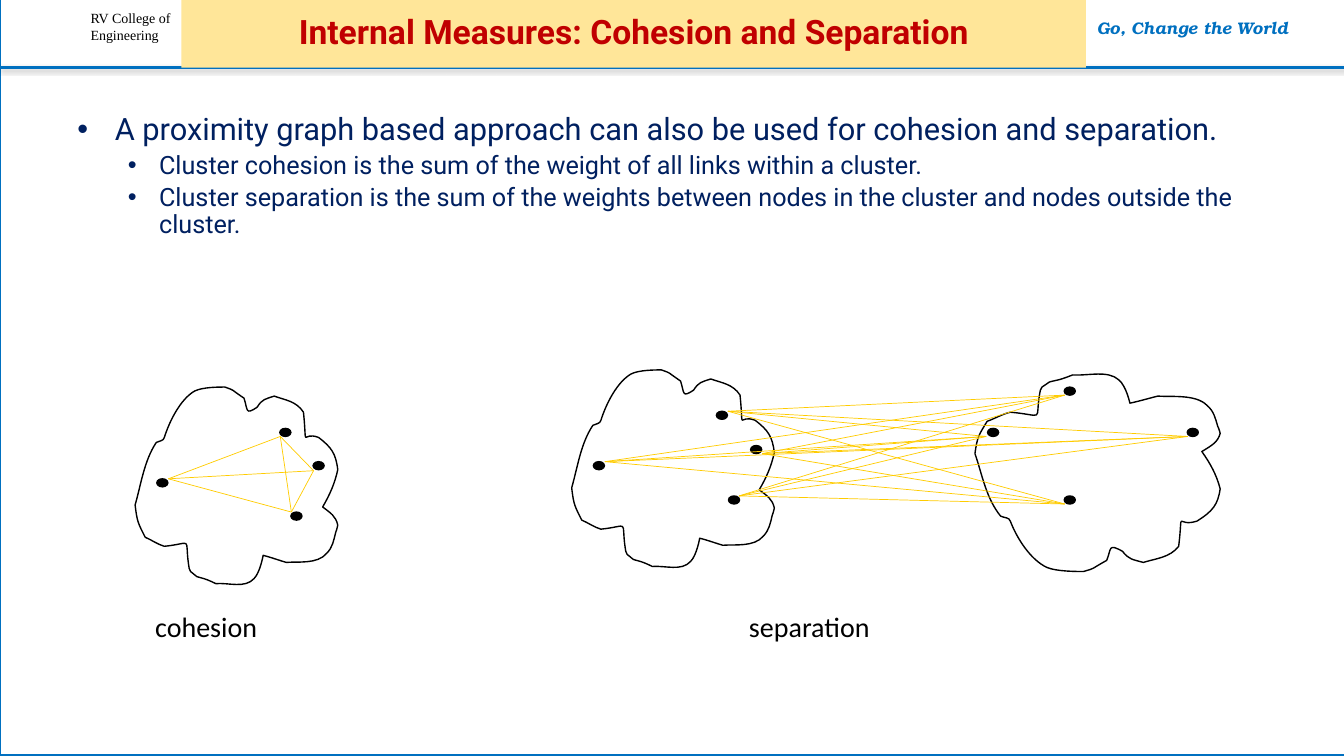
"""Builds a slide on cluster cohesion and separation as proximity graphs."""
import itertools

import lxml.etree
import pptx
import pptx.dml.color
import pptx.enum.shapes
import pptx.enum.text
import pptx.oxml
import pptx.oxml.ns
import pptx.util

Inches = pptx.util.Inches
Align = pptx.enum.text.PP_ALIGN
Anchor = pptx.enum.text.MSO_ANCHOR
AutoSize = pptx.enum.text.MSO_AUTO_SIZE
Preset = pptx.enum.shapes.MSO_SHAPE
qn = pptx.oxml.ns.qn

TITLE = "Internal Measures: Cohesion and Separation"
BULLETS = [
    (0, "A proximity graph based approach can also be used for cohesion and separation."),
    (1, "Cluster cohesion is the sum of the weight of all links within a cluster."),
    (1, "Cluster separation is the sum of the weights between nodes in the cluster "
        "and nodes outside the cluster."),
]
BULLET_LEVELS = {
    0: {"indent": 0.37, "hanging": 0.37, "before": 0, "size": 22},
    1: {"indent": 0.81, "hanging": 0.31, "before": 3.8, "size": 18},
}
CAPTIONS = [
    ("cohesion", (1.44, 6, 1.22, 0.44)),
    ("separation", (7.33, 6, 1.41, 0.44)),
]
COLLEGE = ["RV College of", "Engineering"]
MOTTO = ["Go, Change the World"]

CLOUD_START = (5.88, 4.22)
CLOUD_CURVES = [
    (5.76, 4.4, 5.73, 4.63, 5.67, 4.84), (5.69, 5.01, 5.7, 5.02, 5.77, 5.16),
    (5.84, 5.19, 5.89, 5.23, 5.96, 5.25), (6.25, 5.22, 6.16, 5.15, 6.2, 5.43),
    (6.2, 5.46, 6.21, 5.48, 6.22, 5.5), (6.31, 5.57, 6.25, 5.54, 6.35, 5.57),
    (6.39, 5.58, 6.47, 5.62, 6.47, 5.62), (6.6, 5.61, 6.76, 5.67, 6.85, 5.57),
    (6.91, 5.51, 6.94, 5.34, 6.94, 5.34), (7.02, 5.36, 7.1, 5.39, 7.17, 5.41),
    (7.28, 5.4, 7.48, 5.43, 7.57, 5.32), (7.63, 5.26, 7.64, 5.19, 7.66, 5.11),
    (7.67, 5.09, 7.68, 5.04, 7.68, 5.04), (7.66, 4.95, 7.61, 4.92, 7.53, 4.86),
    (7.6, 4.74, 7.65, 4.63, 7.68, 4.49), (7.66, 4.33, 7.62, 4.27, 7.49, 4.17),
    (7.31, 4.1, 7.38, 4.32, 7.34, 3.92), (7.27, 3.81, 7.16, 3.8, 7.05, 3.76),
    (6.96, 3.79, 6.93, 3.79, 6.88, 3.87), (6.76, 3.95, 6.79, 3.9, 6.75, 3.78),
    (6.6, 3.68, 6.67, 3.71, 6.56, 3.67), (6.5, 3.67, 6.34, 3.67, 6.26, 3.71),
    (6.12, 3.79, 6.01, 4.01, 5.96, 4.17), (5.95, 4.21, 5.91, 4.2, 5.88, 4.22),
]
CLOUD_CORNER = (5.67, 3.67)

CLUSTERS = {
    "cohesive": {
        "corner": (1.34, 3.84), "scale": (1, 1),
        "nodes": [(2.94, 5.12), (2.83, 4.29), (1.61, 4.79), (3.16, 4.62)],
        "link_ends": [(2.89, 5.08), (2.78, 4.33), (1.67, 4.75), (3.11, 4.67)],
    },
    "left": {
        "corner": (5.67, 3.67), "scale": (1, 1),
        "nodes": [(7.28, 4.96), (7.16, 4.12), (5.94, 4.62), (7.5, 4.46)],
        "link_ends": [(7.33, 4.92), (7.22, 4.08), (6, 4.58), (7.56, 4.5)],
    },
    "right": {
        "corner": (9.67, 5.67), "scale": (1.21, -1),
        "nodes": [(11.83, 4.29), (9.85, 4.29), (10.61, 4.96), (10.61, 3.88)],
        "link_ends": [(11.78, 4.33), (9.78, 4.33), (10.56, 5), (10.56, 3.92)],
    },
}
NODE_SIZE = (0.11, 0.08)


def color(hex_code):
    return pptx.dml.color.RGBColor.from_string(hex_code)


def apply(target, values):
    for name, value in values.items():
        setattr(target, name, value)


def place(shape, box):
    apply(shape, dict(zip(("left", "top", "width", "height"), map(Inches, box))))


def write(paragraph, text, hex_code, size, **values):
    run = paragraph.add_run()
    run.text = text
    run.font.color.rgb = color(hex_code)
    apply(run.font, {"size": pptx.util.Pt(size), **values})


def outline(shape, hex_code, points):
    shape.line.color.rgb = color(hex_code)
    shape.line.width = pptx.util.Pt(points)


def add_text(slide, box, lines, hex_code, size, align=Align.LEFT, wrap=True, **values):
    frame = slide.shapes.add_textbox(*map(Inches, box)).text_frame
    apply(frame, {"word_wrap": wrap, "auto_size": AutoSize.SHAPE_TO_FIT_TEXT})
    for index, line in enumerate(lines):
        paragraph = frame.add_paragraph() if index else frame.paragraphs[0]
        paragraph.alignment = align
        write(paragraph, line, hex_code, size, **values)


def add_preset(slide, preset, box, fill, line, points):
    shape = slide.shapes.add_shape(preset, *map(Inches, box))
    shape.shadow.inherit = False
    shape.fill.solid()
    shape.fill.fore_color.rgb = color(fill)
    outline(shape, line, points)


def add_line(slide, start, end, hex_code, points):
    line = slide.shapes.add_connector(
        pptx.enum.shapes.MSO_CONNECTOR.STRAIGHT, *map(Inches, (*start, *end)))
    outline(line, hex_code, points)
    return lxml.etree.SubElement(line.element.spPr, qn("a:effectLst"))


def add_header(slide):
    add_preset(slide, Preset.RECTANGLE, (0, -0.01, 13.38, 7.5), "FFFFFF", "0070C0", 2)
    add_text(slide, (0.8, 0.05, 1.47, 0.44), COLLEGE, "000000", 10, name="Times New Roman")
    effects = add_line(slide, (0, 0.67), (13.42, 0.67), "0070C0", 2)
    effects.append(pptx.oxml.parse_xml(
        f'<a:outerShdw {pptx.oxml.ns.nsdecls("a")} blurRad="40000" dist="20000" '
        'dir="5400000" rotWithShape="0"><a:srgbClr val="000000">'
        '<a:alpha val="38000"/></a:srgbClr></a:outerShdw>'))
    add_text(slide, (10.33, 0.13, 3, 0.3), MOTTO, "0070C0", 12, Align.CENTER,
             name="TeX Gyre Bonum", bold=True, italic=True)

    title = slide.shapes.title
    title.element.getparent().append(title.element)
    place(title, (1.8, 0, 8.97, 0.67))
    title.fill.solid()
    title.fill.fore_color.rgb = color("FFE699")
    apply(title.text_frame, {"vertical_anchor": Anchor.MIDDLE, "word_wrap": True,
                             "auto_size": AutoSize.NONE})
    heading = title.text_frame.paragraphs[0]
    apply(heading, {"alignment": Align.CENTER, "line_spacing": 0.9})
    write(heading, TITLE, "C00000", 24, name="Roboto", bold=True)


def add_bullets(slide):
    frame = slide.shapes.add_textbox(*map(Inches, (0.67, 1.08, 12.33, 5.83))).text_frame
    frame.word_wrap = True
    for index, (level, text) in enumerate(BULLETS):
        look = BULLET_LEVELS[level]
        paragraph = frame.add_paragraph() if index else frame.paragraphs[0]
        apply(paragraph, {"level": level, "line_spacing": 0.9,
                          "space_before": pptx.util.Pt(look["before"])})
        properties = paragraph._p.get_or_add_pPr()
        properties.set("marL", str(Inches(look["indent"])))
        properties.set("indent", str(-Inches(look["hanging"])))
        for tag, key, value in (("a:buFont", "typeface", "Arial"), ("a:buChar", "char", "•")):
            lxml.etree.SubElement(properties, qn(tag)).set(key, value)
        write(paragraph, text, "002060", look["size"], name="Roboto")


def bend(outline_shape):
    segments = list(outline_shape.element.iter(qn("a:lnTo")))
    for first in range(0, len(segments), 3):
        curve = lxml.etree.Element(qn("a:cubicBezTo"))
        segments[first].addprevious(curve)
        for segment in segments[first:first + 3]:
            curve.append(segment[0])
            segment.getparent().remove(segment)


def add_cluster(slide, cluster):
    points = [CLOUD_START]
    for curve in CLOUD_CURVES:
        points += [curve[:2], curve[2:4], curve[4:]]
    border = [tuple(Inches(corner + scale * (value - origin)) for corner, scale, value, origin
                    in zip(cluster["corner"], cluster["scale"], point, CLOUD_CORNER))
              for point in points]
    builder = slide.shapes.build_freeform(*border[0])
    builder.add_line_segments(border[1:], close=True)
    cloud = builder.convert_to_shape()
    bend(cloud)
    cloud.shadow.inherit = False
    cloud.fill.background()
    outline(cloud, "000000", 1)
    width, height = NODE_SIZE
    for x, y in cluster["nodes"]:
        add_preset(slide, Preset.OVAL, (x - width / 2, y - height / 2, width, height),
                   "000000", "000000", 1)


def main():
    deck = pptx.Presentation()
    apply(deck, {"slide_width": Inches(13.33), "slide_height": Inches(7.5)})
    slide = deck.slides.add_slide(deck.slide_layouts[5])
    add_header(slide)
    add_bullets(slide)
    for cluster in CLUSTERS.values():
        add_cluster(slide, cluster)
    cohesive, left, right = (cluster["link_ends"] for cluster in CLUSTERS.values())
    for start, end in [*itertools.combinations(cohesive, 2), *itertools.product(left, right)]:
        add_line(slide, start, end, "FFCC00", 0.5)
    for caption, box in CAPTIONS:
        add_text(slide, box, [caption], "000000", 20, wrap=False, name="Calibri")
    deck.save("out.pptx")


if __name__ == "__main__":
    main()
